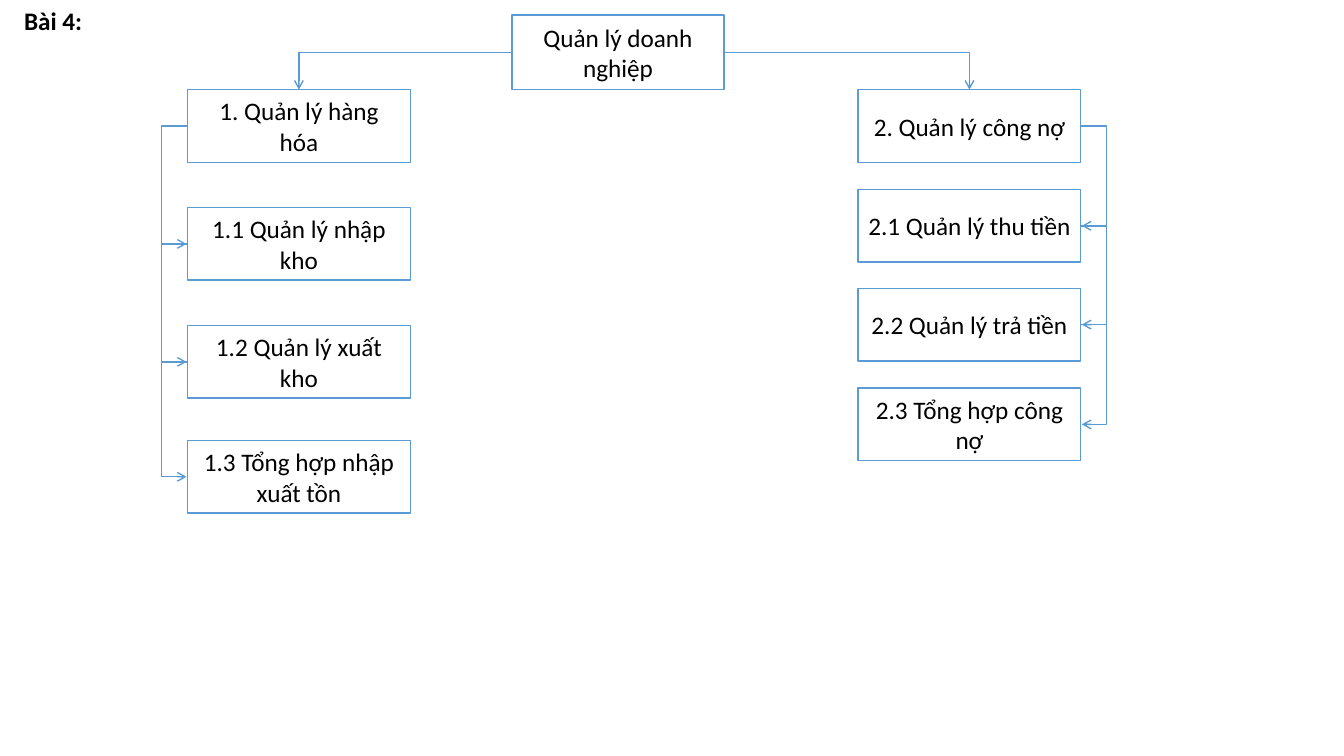
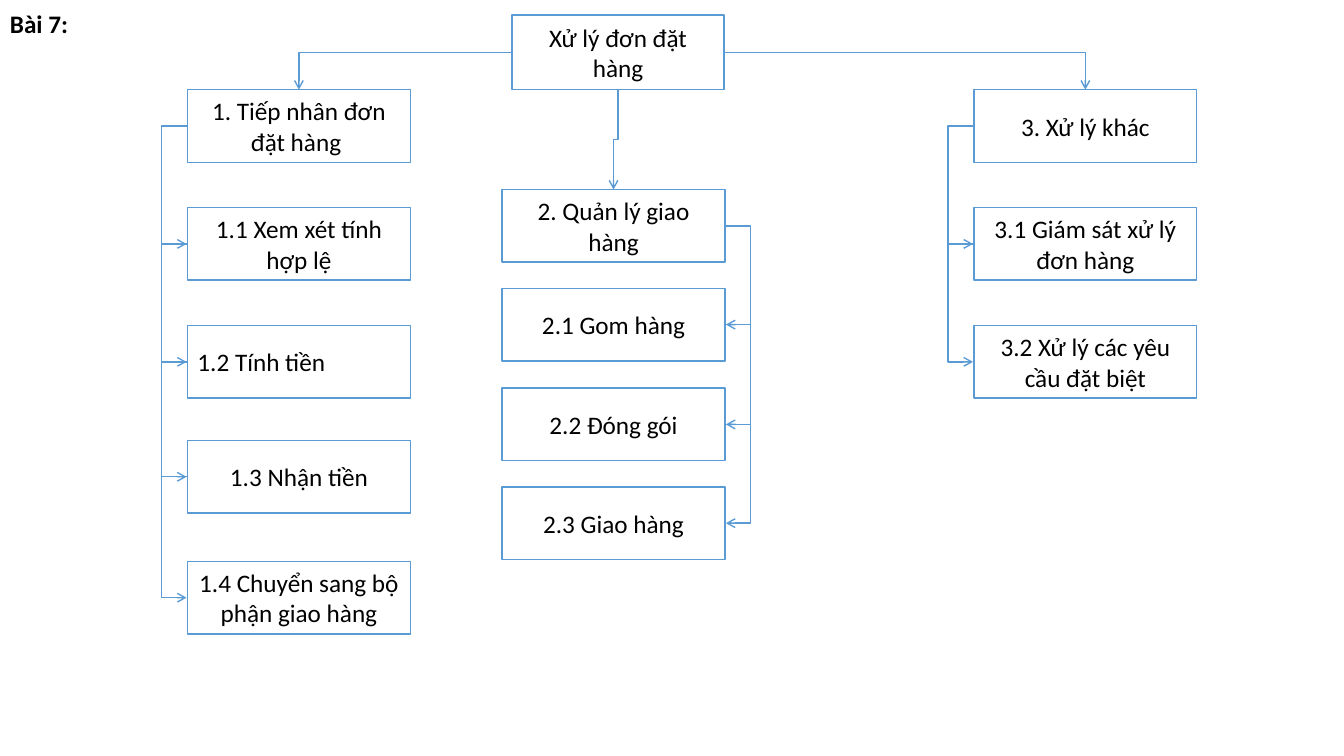
from dataclasses import dataclass
from itertools import pairwise

from lxml.etree import SubElement
from pptx import Presentation
from pptx.dml.color import RGBColor
from pptx.enum.shapes import MSO_CONNECTOR as Link, MSO_SHAPE as Preset
from pptx.enum.text import MSO_ANCHOR as Anchor, MSO_AUTO_SIZE as Fit, PP_ALIGN as Align
from pptx.oxml.ns import qn
from pptx.util import Inches, Pt


@dataclass(frozen=True)
class Theme:
    line: RGBColor = RGBColor(0x5B, 0x9B, 0xD5)
    text: RGBColor = RGBColor(0, 0, 0)
    font: str = "Calibri"
    size: Pt = Pt(18)
    line_width: Pt = Pt(1)


THEME = Theme()
TOP, LEFT, BOTTOM, RIGHT = range(4)

ROOT_BOX = (5.08, 0.15, 2.1, 0.74)
BOX_W, BOX_H = 2.21, 0.72
BRACKET_GAP, BRACKET_W = 0.26, 0.01
WIDE_TOPS = [0.89, 2.06, 3.23, 4.37, 5.57]
TIGHT_TOPS = [0.89, 1.88, 2.86, 3.85, 4.83]

# Each branch: left edge, row tops, bracket side, side of the root it leaves, texts
CHARTS = [
    {
        "heading": ("Bài 4:", (0.14, 0, 4.44, 0.4)),
        "root": "Quản lý doanh nghiệp",
        "branches": [
            (1.86, WIDE_TOPS, LEFT, LEFT,
             ["1. Quản lý hàng hóa", "1.1 Quản lý nhập kho",
              "1.2 Quản lý xuất kho", "1.3 Tổng hợp nhập xuất tồn"]),
            (8.51, TIGHT_TOPS, RIGHT, RIGHT,
             ["2. Quản lý công nợ", "2.1 Quản lý thu tiền",
              "2.2 Quản lý trả tiền", "2.3 Tổng hợp công nợ"]),
        ],
    },
    {
        "heading": ("Bài 7:", (0, 0.03, 0.92, 0.4)),
        "root": "Xử lý đơn đặt hàng",
        "branches": [
            (1.86, WIDE_TOPS, LEFT, LEFT,
             ["1. Tiếp nhân đơn đặt hàng ", "1.1 Xem xét tính hợp lệ",
              "1.2 Tính tiền", "1.3 Nhận tiền",
              "1.4 Chuyển sang bộ phận giao hàng"]),
            (4.98, TIGHT_TOPS[1:], RIGHT, BOTTOM,
             ["2. Quản lý giao hàng", "2.1 Gom hàng",
              "2.2 Đóng gói", "2.3 Giao hàng"]),
            (9.66, WIDE_TOPS, LEFT, RIGHT,
             ["3. Xử lý khác", "3.1 Giám sát xử lý đơn hàng",
              "3.2 Xử lý các yêu cầu đặt biệt"]),
        ],
    },
]
LEFT_ALIGNED = {"1.2 Tính tiền"}


def set_all(target, values):
    for name, value in values.items():
        setattr(target, name, value)


def write(frame, text, align, bold=False):
    frame.word_wrap = True
    paragraph = frame.paragraphs[0]
    paragraph.alignment = align
    run = paragraph.add_run()
    run.text = text
    set_all(run.font, {"name": THEME.font, "size": THEME.size, "bold": bold})
    run.font.color.rgb = THEME.text


def add_heading(slide, text, place):
    frame = slide.shapes.add_textbox(*map(Inches, place)).text_frame
    write(frame, text, Align.LEFT, bold=True)
    frame.auto_size = Fit.SHAPE_TO_FIT_TEXT


def add_box(slide, text, place):
    box = slide.shapes.add_shape(Preset.RECTANGLE, *map(Inches, place))
    box.shadow.inherit = False
    box.fill.background()
    box.line.color.rgb = THEME.line
    box.line.width = THEME.line_width
    box.text_frame.vertical_anchor = Anchor.MIDDLE
    write(box.text_frame, text, Align.LEFT if text in LEFT_ALIGNED else Align.CENTER)
    return box


def add_arrow(slide, start, start_side, end, end_side):
    """Glue an elbow arrow to the middles of two box sides."""
    arrow = slide.shapes.add_connector(Link.ELBOW, 0, 0, 0, 0)
    arrow.begin_connect(start, start_side)
    arrow.end_connect(end, end_side)
    arrow.line.color.rgb = THEME.line
    arrow.line.width = THEME.line_width
    SubElement(arrow.line._get_or_add_ln(), qn("a:tailEnd"), type="arrow")
    SubElement(arrow._element.spPr, qn("a:effectLst"))
    return arrow


def unflip(arrow):
    """Drop the mirroring left over from gluing and return the transform."""
    xfrm = arrow._element.spPr.find(qn("a:xfrm"))
    for flip in ("flipH", "flipV"):
        xfrm.attrib.pop(flip, None)
    return xfrm


def set_bend(arrow, ratio):
    guides = arrow._element.spPr.find(qn("a:prstGeom")).find(qn("a:avLst"))
    SubElement(guides, qn("a:gd"), name="adj1", fmla=f"val {round(ratio * 100000)}")


def add_bracket(slide, upper, lower, side):
    arrow = add_arrow(slide, upper, side, lower, side)
    xfrm = unflip(arrow)
    arrow.width = Inches(BRACKET_W)
    if side == LEFT:
        arrow.left -= arrow.width
        xfrm.set("flipH", "1")
    set_bend(arrow, BRACKET_GAP / BRACKET_W)


def add_root_arrow(slide, root, head, side):
    arrow = add_arrow(slide, root, side, head, TOP)
    if side != BOTTOM:
        arrow._element.spPr.find(qn("a:prstGeom")).set("prst", "bentConnector2")
        return
    # A downward elbow is a sideways one turned a quarter about its centre
    across, down = arrow.width, arrow.height
    shift = (down - across) // 2
    set_all(arrow, {"left": arrow.left - shift, "top": arrow.top + shift,
                    "width": down, "height": across})
    unflip(arrow).set("rot", "5400000")
    set_bend(arrow, 0.5)


def build_chart(slide, chart):
    add_heading(slide, *chart["heading"])
    root = add_box(slide, chart["root"], ROOT_BOX)
    for left, tops, bracket_side, root_side, texts in chart["branches"]:
        boxes = [add_box(slide, text, (left, top, BOX_W, BOX_H))
                 for text, top in zip(texts, tops)]
        add_root_arrow(slide, root, boxes[0], root_side)
        for upper, lower in pairwise(boxes):
            add_bracket(slide, upper, lower, bracket_side)


def main():
    deck = Presentation()
    set_all(deck, {"slide_width": Inches(13.33), "slide_height": Inches(7.5)})
    for chart in CHARTS:
        build_chart(deck.slides.add_slide(deck.slide_layouts[6]), chart)
    deck.save("out.pptx")


if __name__ == "__main__":
    main()
